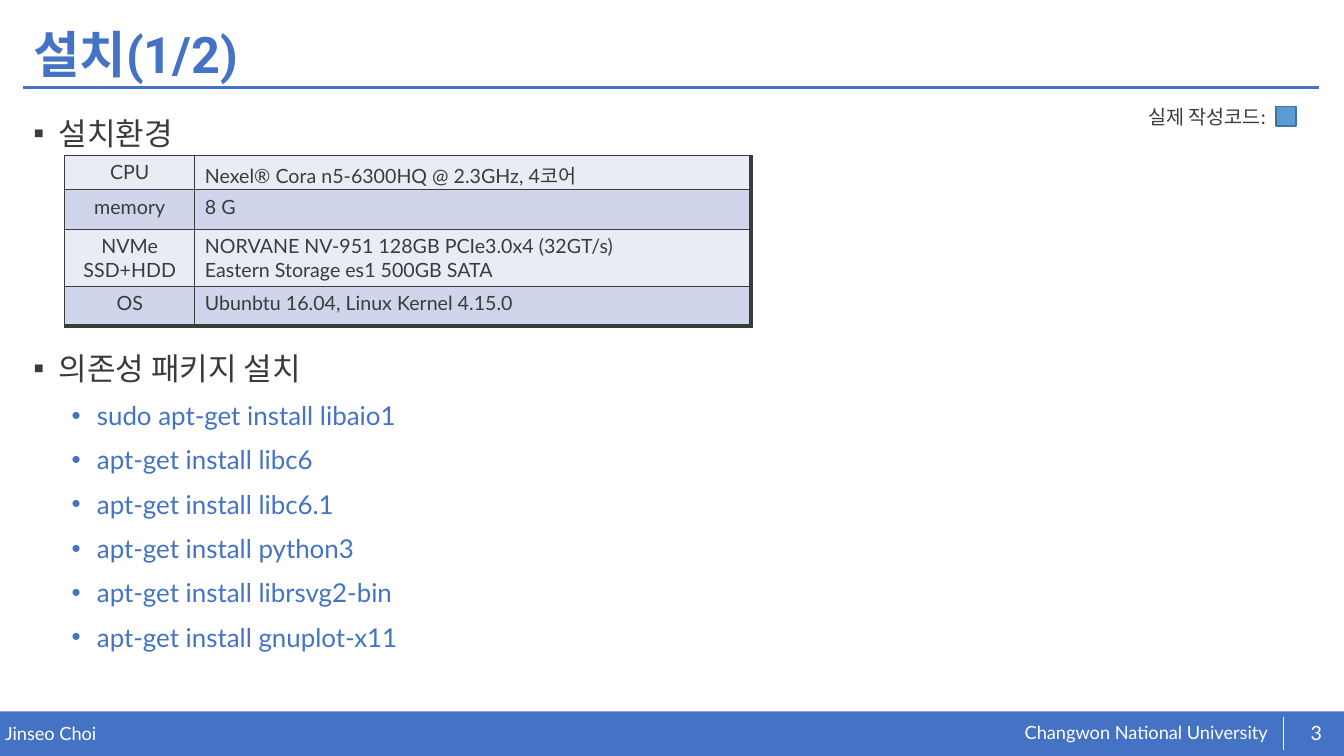
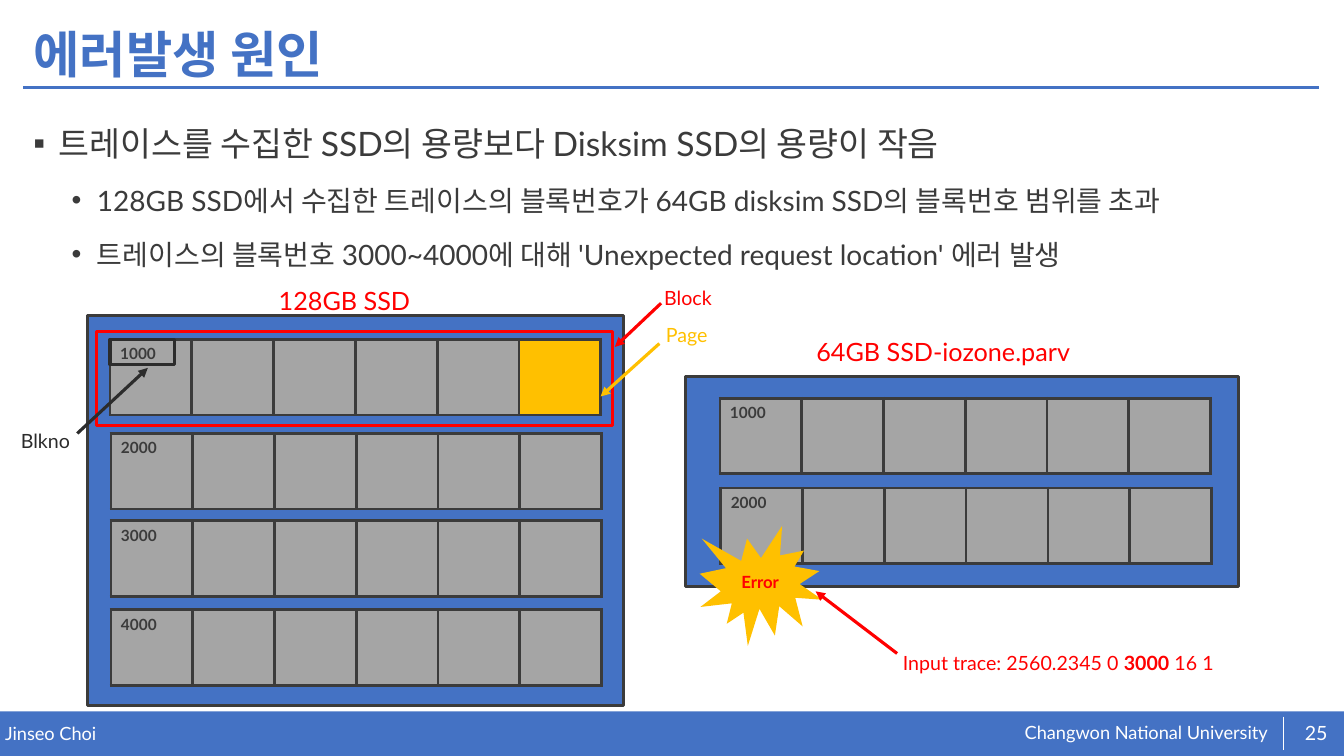
from dataclasses import dataclass
from typing import NamedTuple

from lxml import etree
from pptx import Presentation
from pptx.dml.color import RGBColor
from pptx.enum import shapes, text
from pptx.oxml import ns
from pptx.util import Inches, Pt

COLS, ROWS = 160, 90  # the slide as a grid of twelfths of an inch


@dataclass(frozen=True)
class Theme:
    blue: str = "4472C4"
    ink: str = "3B3B3B"
    dark: str = "2C2C2C"
    white: str = "FFFFFF"
    red: str = "FF0000"
    gold: str = "FFC000"
    gray: str = "A5A5A5"
    sky: str = "5B9BD5"
    navy: str = "43739E"
    bands: tuple = ("E9EBF5", "CFD5EA")
    font: str = "Lato"
    head: str = "Roboto"
    title: float = 36
    cap: float = 18
    note: float = 14
    foot: float = 13
    seal: float = 12
    cell: float = 11
    edge: float = 2.25


T = Theme()


class Box(NamedTuple):
    x: float
    y: float
    w: float
    h: float


class Label(NamedTuple):
    words: str
    box: Box
    size: float
    color: str


class Arrow(NamedTuple):
    start: tuple
    end: tuple
    color: str


class Strip(NamedTuple):
    num: str
    x: float
    y: float
    last: str = T.gray


class Item(NamedTuple):
    words: str
    level: int = 0
    color: str = T.ink


def cells(n: float) -> int:
    return Inches(n / 12)


def rgb(color: str) -> RGBColor:
    return RGBColor.from_string(color)


def sub(node, tag: str, **attrs):
    return etree.SubElement(node, ns.qn(tag), **attrs)


def style(para, size: float, color: str, bold: bool = False, font: str = T.font) -> None:
    f = para.font
    f.name, f.size, f.bold = font, Pt(size), bold
    f.color.rgb = rgb(color)


# Basic parts

def frame(slide, box: Box, inset: bool = True):
    tf = slide.shapes.add_textbox(*map(cells, box)).text_frame
    tf.word_wrap = True
    if not inset:
        tf.margin_left = tf.margin_right = tf.margin_top = tf.margin_bottom = 0
    return tf


def write(slide, label: Label, inset: bool = True):
    tf = frame(slide, label.box, inset)
    para = tf.paragraphs[0]
    # every second part between asterisks is bold
    for i, part in enumerate(label.words.split("*")):
        run = para.add_run()
        run.text = part
        if i % 2:
            run.font.bold = True
    style(para, label.size, label.color)
    return tf


def shape(slide, box: Box, fill: str = "", line: str = "",
          width: float = T.edge, kind=shapes.MSO_SHAPE.RECTANGLE):
    s = slide.shapes.add_shape(kind, *map(cells, box))
    s.shadow.inherit = False
    if fill:
        s.fill.solid()
        s.fill.fore_color.rgb = rgb(fill)
    else:
        s.fill.background()
    if line:
        s.line.color.rgb = rgb(line)
        s.line.width = Pt(width)
    else:
        s.line.fill.background()
    return s


def rule(slide, start: tuple, end: tuple, color: str, width: float):
    c = slide.shapes.add_connector(shapes.MSO_CONNECTOR.STRAIGHT,
                                   *map(cells, start + end))
    c.line.color.rgb = rgb(color)
    c.line.width = Pt(width)
    sub(c._element.spPr, "a:effectLst")
    return c


def point(slide, arrow: Arrow) -> None:
    c = rule(slide, *arrow, T.edge)
    sub(c.line._get_or_add_ln(), "a:tailEnd", type="triangle")


def grid(slide, x: float, y: float, wide: list, high: list):
    box = Box(x, y, sum(wide), sum(high))
    table = slide.shapes.add_table(len(high), len(wide), *map(cells, box)).table
    table.first_row = table.horz_banding = False
    for col, w in zip(table.columns, wide):
        col.width = cells(w)
    for row, h in zip(table.rows, high):
        row.height = cells(h)
    return table


def paint(cell, fill: str, edges: dict) -> None:
    """Fill a cell; edges gives the line width of sides L, R, T, B."""
    cell.fill.solid()
    cell.fill.fore_color.rgb = rgb(fill)
    props = cell._tc.get_or_add_tcPr()
    for i, side in enumerate("LRTB"):
        ln = sub(props, f"a:ln{side}", w=str(Pt(edges[side])))
        sub(sub(ln, "a:solidFill"), "a:srgbClr", val=T.ink)
        props.insert(i, ln)


def bullets(slide, box: Box, items: list, sizes: tuple, gap: float) -> None:
    tf = frame(slide, box)
    for i, item in enumerate(items):
        para = tf.paragraphs[0] if i == 0 else tf.add_paragraph()
        para.text = item.words
        para.level = item.level
        para.line_spacing = gap
        para.space_before = Pt((10, 5)[item.level] if i else 0)
        props = para._p.get_or_add_pPr()
        props.set("marL", str(Inches((0.25, 0.63)[item.level])))
        props.set("indent", str(Inches(-0.25)))
        sub(props, "a:buFont", typeface="Arial")
        sub(props, "a:buChar", char="▪•"[item.level])
        style(para, sizes[item.level], item.color)


# Shared title, rule and footer

def page(deck, title: str, num: int):
    slide = deck.slides.add_slide(deck.slide_layouts[6])
    shape(slide, Box(0, 84.7, COLS, 5.3), T.blue)
    write(slide, Label("Changwon National University", Box(122, 85.9, 30.5, 2.8),
                       T.foot, T.white), False)
    write(slide, Label("Jinseo Choi", Box(0.6, 86, 78, 2.7), T.foot, T.white), False)
    rule(slide, (2.8, 10.4), (157, 10.4), T.blue, 2)
    rule(slide, (152.8, 85.3), (152.8, 89.3), T.white, 0.5)
    tf = frame(slide, Box(2.8, 2.2, 154.3, 9.2))
    tf.vertical_anchor = text.MSO_ANCHOR.MIDDLE
    para = tf.paragraphs[0]
    para.text, para.line_spacing = title, 0.9
    style(para, T.title, T.blue, True, T.head)
    tf = write(slide, Label(str(num), Box(153.8, 84.8, 5.8, 4.8), T.note, T.white), False)
    tf.vertical_anchor = text.MSO_ANCHOR.MIDDLE
    tf.paragraphs[0].alignment = text.PP_ALIGN.CENTER
    return slide


# Slide: installation

def setup(deck) -> None:
    slide = page(deck, "설치(1/2)", 3)
    sizes = (22.2, 18.5)
    bullets(slide, Box(2.8, 12.1, 120, 7), [Item("설치환경")], sizes, 1.2)
    cmds = ["sudo apt-get install libaio1", "apt-get install libc6",
            "apt-get install libc6.1", "apt-get install python3",
            "apt-get install librsvg2-bin", "apt-get install gnuplot-x11"]
    bullets(slide, Box(2.8, 40.1, 154.3, 39),
            [Item("의존성 패키지 설치")] + [Item(c, 1, T.blue) for c in cmds], sizes, 1.2)
    write(slide, Label("실제 작성코드:", Box(135.5, 11.9, 18, 4.1), T.note, T.ink))
    shape(slide, Box(151.9, 12.7, 2.4, 2.3), T.sky, T.navy, 1)

    specs = [("CPU", "Nexel® Cora n5-6300HQ @ 2.3GHz, 4코어"),
             ("memory", "8 G"),
             ("NVMe SSD+HDD", "NORVANE NV-951 128GB PCIe3.0x4 (32GT/s)\n"
                              "Eastern Storage es1 500GB SATA"),
             ("OS", "Ubunbtu 16.04, Linux Kernel 4.15.0")]
    table = grid(slide, 7.7, 18.5, [15.5, 66.2], [4.1, 4.7, 6.8, 4.7])
    for r, row in enumerate(specs):
        for c, words in enumerate(row):
            cell = table.cell(r, c)
            cell.text = words
            for para in cell.text_frame.paragraphs:
                if c == 0:
                    para.alignment = text.PP_ALIGN.CENTER
                style(para, T.note, T.ink)
            paint(cell, T.bands[r % 2],
                  dict(L=1, T=1, R=3 if c else 1, B=3 if r == len(specs) - 1 else 1))


# Slide: cause of the error

def strip(slide, s: Strip) -> None:
    count = 6
    table = grid(slide, s.x, s.y, [9.74] * count, [9])
    for c in range(count):
        paint(table.cell(0, c), s.last if c == count - 1 else T.gray,
              dict.fromkeys("LRTB", T.edge))
    first = table.cell(0, 0)
    first.text = s.num
    style(first.text_frame.paragraphs[0], T.cell, T.ink, True)


def cause(deck) -> None:
    slide = page(deck, "에러발생 원인", 25)
    bullets(slide, Box(2.8, 12.1, 154.3, 22), [
        Item("트레이스를 수집한 SSD의 용량보다 Disksim SSD의 용량이 작음"),
        Item("128GB SSD에서 수집한 트레이스의 블록번호가 64GB disksim SSD의 "
             "블록번호 범위를 초과", 1),
        Item("트레이스의 블록번호 3000~4000에 대해 'Unexpected request location' "
             "에러 발생", 1)], (24, 20), 1.4)

    # Drives and their blocks
    for drive in (Box(10.4, 37.6, 63.8, 46.4), Box(81.6, 44.8, 65.8, 25)):
        shape(slide, drive, T.blue, T.ink)
    for s in (Strip("1000", 13.1, 40.4, T.gold), Strip("2000", 13.2, 51.6),
              Strip("3000", 13.2, 62), Strip("4000", 13.2, 72.6),
              Strip("1000", 85.7, 47.4), Strip("2000", 85.8, 58.1)):
        strip(slide, s)
    shape(slide, Box(11.5, 39.5, 61.4, 11.2), line=T.red)
    shape(slide, Box(13.1, 40.4, 7.7, 3), line=T.dark)

    # Error burst
    burst = shape(slide, Box(83.3, 62.6, 14.6, 14.3), T.gold,
                  kind=shapes.MSO_SHAPE.EXPLOSION1)
    tf = burst.text_frame
    tf.word_wrap = False
    tf.vertical_anchor = text.MSO_ANCHOR.MIDDLE
    para = tf.paragraphs[0]
    para.text, para.alignment = "Error", text.PP_ALIGN.CENTER
    style(para, T.seal, T.red, True)

    # Arrows and labels
    for arrow in (Arrow((78.7, 36.1), (73.2, 41.3), T.red),
                  Arrow((78.5, 40.9), (71.5, 47.2), T.gold),
                  Arrow((106.8, 77.8), (97.1, 70.4), T.red),
                  Arrow((9.2, 51.6), (17.6, 43.8), T.dark)):
        point(slide, arrow)
    for label in (
            Label("128GB SSD", Box(32, 33.4, 42, 4.8), T.cap, T.red),
            Label("64GB SSD-iozone.parv", Box(96, 39.4, 42, 4.8), T.cap, T.red),
            Label("Block", Box(77.9, 33.4, 36, 4.1), T.note, T.red),
            Label("Page", Box(78.1, 37.8, 16, 4.1), T.note, T.gold),
            Label("Blkno", Box(1.3, 50.5, 9, 4.1), T.note, T.dark),
            Label("Input trace: 2560.2345 0 *3000* 16 1",
                  Box(106.3, 76.9, 50, 4.1), T.note, T.red)):
        write(slide, label)


def main() -> None:
    deck = Presentation()
    deck.slide_width, deck.slide_height = cells(COLS), cells(ROWS)
    setup(deck)
    cause(deck)
    deck.save("out.pptx")


if __name__ == "__main__":
    main()
